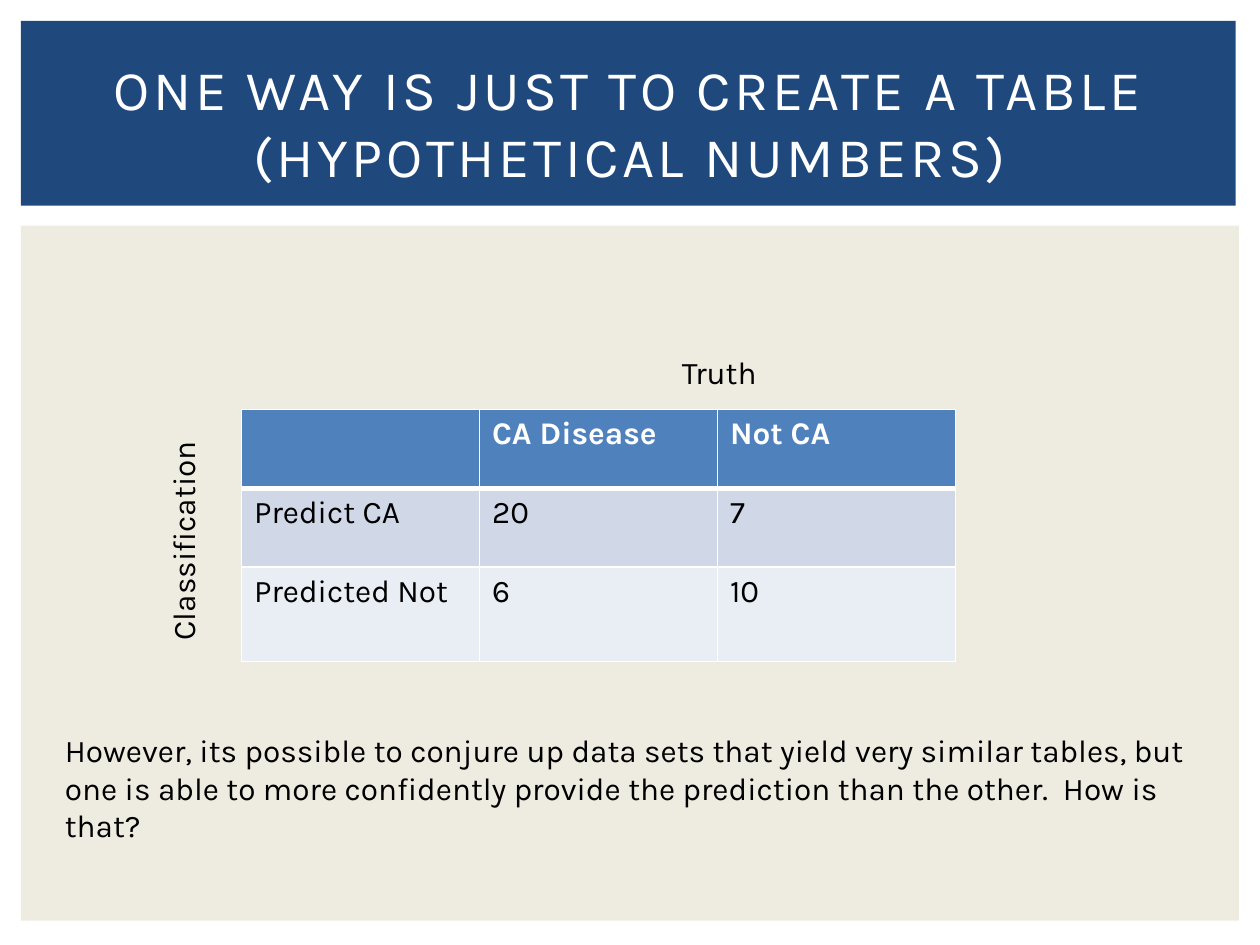
from dataclasses import dataclass

import pptx
import pptx.dml.color
import pptx.enum.shapes
import pptx.enum.text
import pptx.oxml
import pptx.oxml.ns
import pptx.util
from lxml import etree

RGBColor = pptx.dml.color.RGBColor
Align = pptx.enum.text.PP_ALIGN
Anchor = pptx.enum.text.MSO_ANCHOR

WHITE = RGBColor(0xFF, 0xFF, 0xFF)
BLACK = RGBColor(0x00, 0x00, 0x00)
NAVY = RGBColor(0x1F, 0x49, 0x7D)
CREAM = RGBColor(0xEE, 0xEC, 0xE1)
BLUE = RGBColor(0x4F, 0x81, 0xBD)
BAND_DARK = RGBColor(0xD0, 0xD8, 0xE8)
BAND_LIGHT = RGBColor(0xE9, 0xED, 0xF4)

FONT = "Karla"
SLIDE_WIDTH = pptx.util.Inches(10)
SLIDE_HEIGHT = pptx.util.Inches(7.5)
GRID_COLUMNS = 120
GRID_ROWS = 90


@dataclass(frozen=True)
class Box:
    column: float
    row: float
    columns: float
    rows: float

    def lengths(self) -> tuple[int, int, int, int]:
        return (across(self.column), down(self.row),
                across(self.columns), down(self.rows))


@dataclass(frozen=True)
class Panel:
    box: Box
    color: RGBColor


@dataclass(frozen=True)
class Label:
    text: str
    box: Box
    align: Align = Align.CENTER
    anchor: Anchor = Anchor.TOP
    size: int = 18
    color: RGBColor = BLACK
    spacing: int = 0
    rotation: int = 0


@dataclass(frozen=True)
class TableRow:
    texts: tuple[str, ...]
    rows: float
    fill: RGBColor
    color: RGBColor = BLACK
    bold: bool = False
    top_line: int = 1
    bottom_line: int = 1


PANELS = (
    Panel(Box(2, 21.5, 116, 66.2), CREAM),
    Panel(Box(2, 2, 115.7, 17.6), NAVY),
)
LABELS = (
    Label("ONE WAY IS JUST TO CREATE A TABLE\v(HYPOTHETICAL NUMBERS)",
          Box(5, 4.7, 110, 13.8), anchor=Anchor.MIDDLE, size=32,
          color=WHITE, spacing=2),
    Label("Truth", Box(48, 33, 41, 4.8)),
    Label("Classification", Box(-3.1, 49.1, 41, 4.8), rotation=270),
    Label("However, its possible to conjure up data sets that yield very similar "
          "tables, but one is able to more confidently provide the prediction than "
          "the other.  How is that?", Box(5, 69, 110, 8.5), align=Align.LEFT),
)
TABLE_BOX = Box(23, 39, 68, 24)
TABLE_ROWS = (
    TableRow(("", "CA Disease", "Not CA"), 7.5, BLUE, WHITE, True, bottom_line=3),
    TableRow(("Predict CA", "20", "7"), 7.5, BAND_DARK, top_line=3),
    TableRow(("Predicted Not", "6", "10"), 9, BAND_LIGHT),
)


def across(columns: float) -> int:
    return round(SLIDE_WIDTH * columns / GRID_COLUMNS)


def down(rows: float) -> int:
    return round(SLIDE_HEIGHT * rows / GRID_ROWS)


def format_runs(text_frame, size: int, color: RGBColor, bold: bool = False,
                spacing: int = 0) -> None:
    for paragraph in text_frame.paragraphs:
        for run in paragraph.runs:
            run.font.name = FONT
            run.font.size = pptx.util.Pt(size)
            run.font.color.rgb = color
            run.font.bold = bold
            if spacing:
                run.font._element.set("spc", str(spacing * 100))


def draw_panel(slide, panel: Panel) -> None:
    shape = slide.shapes.add_shape(
        pptx.enum.shapes.MSO_SHAPE.RECTANGLE, *panel.box.lengths())
    shape.shadow.inherit = False
    shape.fill.solid()
    shape.fill.fore_color.rgb = panel.color
    shape.line.fill.background()


def draw_label(slide, label: Label) -> None:
    shape = slide.shapes.add_textbox(*label.box.lengths())
    shape.rotation = label.rotation
    text_frame = shape.text_frame
    text_frame.word_wrap = True
    text_frame.vertical_anchor = label.anchor
    text_frame.text = label.text
    text_frame.paragraphs[0].alignment = label.align
    format_runs(text_frame, label.size, label.color, spacing=label.spacing)


def add_border(cell, side: str, points: int) -> None:
    qn = pptx.oxml.ns.qn
    properties = cell._tc.get_or_add_tcPr()
    line = etree.SubElement(properties, qn(f"a:ln{side}"),
                            w=str(pptx.util.Pt(points)))
    fill = etree.SubElement(line, qn("a:solidFill"))
    etree.SubElement(fill, qn("a:srgbClr"), val=str(WHITE))


def draw_table(slide, box: Box, table_rows: tuple[TableRow, ...]) -> None:
    column_count = len(table_rows[0].texts)
    table = slide.shapes.add_table(
        len(table_rows), column_count, *box.lengths()).table
    for column in table.columns:
        column.width = across(box.columns / column_count)
    for row, table_row in zip(table.rows, table_rows):
        row.height = down(table_row.rows)
        borders = {"L": 1, "R": 1, "T": table_row.top_line,
                   "B": table_row.bottom_line}
        for cell, text in zip(row.cells, table_row.texts):
            for side, points in borders.items():
                add_border(cell, side, points)
            cell.fill.solid()
            cell.fill.fore_color.rgb = table_row.fill
            cell.text_frame.text = text
            format_runs(cell.text_frame, 18, table_row.color, table_row.bold)


def main() -> None:
    presentation = pptx.Presentation()
    presentation.slide_width = SLIDE_WIDTH
    presentation.slide_height = SLIDE_HEIGHT
    slide = presentation.slides.add_slide(presentation.slide_layouts[6])
    for panel in PANELS:
        draw_panel(slide, panel)
    draw_table(slide, TABLE_BOX, TABLE_ROWS)
    for label in LABELS:
        draw_label(slide, label)
    presentation.save("out.pptx")


if __name__ == "__main__":
    main()
